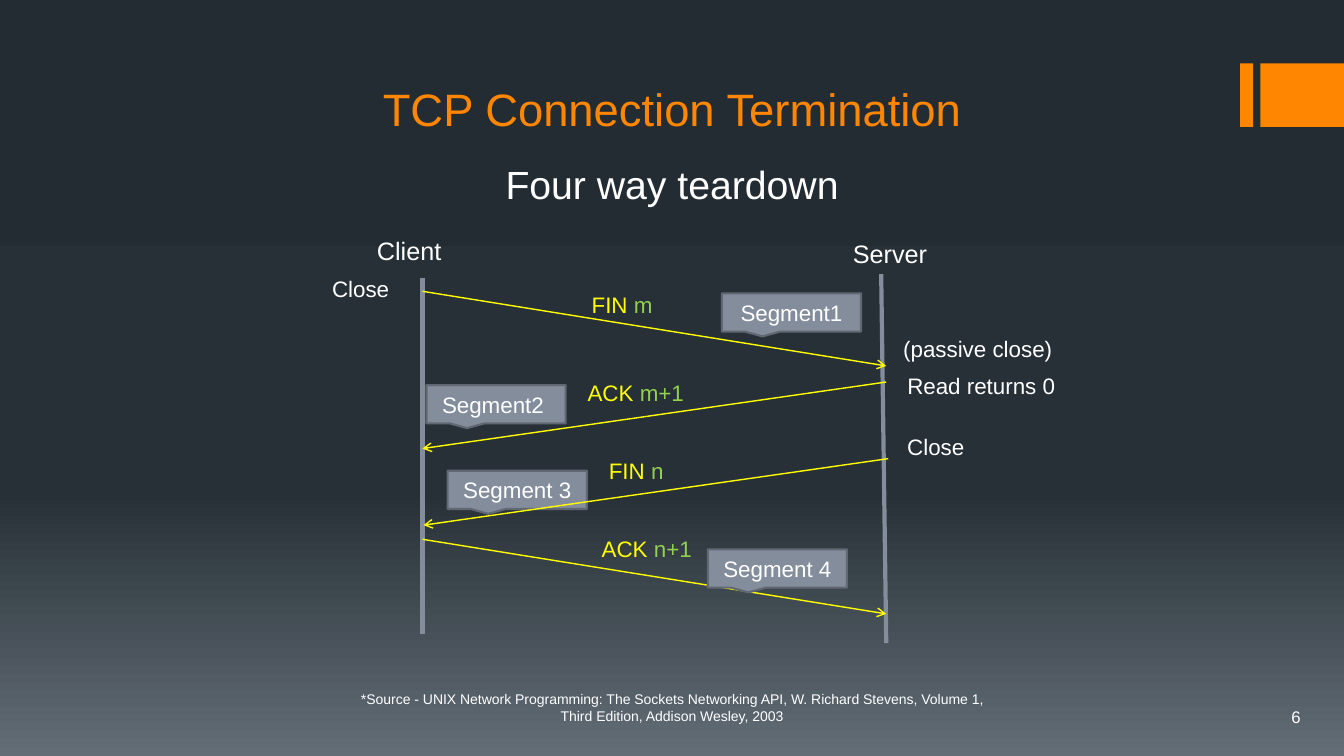
from copy import deepcopy

from lxml import etree
from pptx import Presentation
from pptx.dml.color import RGBColor
from pptx.enum import shapes, text
from pptx.oxml.ns import qn
from pptx.util import Inches, Pt

COLORS = {
    "accent": "FF8600", "white": "FFFFFF", "yellow": "FFFF00", "green": "92D050",
    "slate": "838D9B", "edge": "616873",
}
BACKGROUND = [(0, "242C33"), (0.65, "273037"), (1, "636D76")]
FONT = "Arial"
LEFT, CENTER, RIGHT = text.PP_ALIGN.LEFT, text.PP_ALIGN.CENTER, text.PP_ALIGN.RIGHT

TITLE = "TCP Connection Termination"
ACCENT_BARS = [(12.3, 0.63, 0.13, 0.63), (12.5, 0.63, 0.84, 0.63)]

# text, box (left, top, width, height), size, alignment
CAPTIONS = [
    ("Four way teardown", (4.41, 1.54, 4.51, 0.57), 28, CENTER),
    ("*Source - UNIX Network Programming: The Sockets Networking API, "
     "W. Richard Stevens, Volume 1, Third Edition, Addison Wesley, 2003",
     (3.33, 6.8, 6.67, 0.44), 10, CENTER),
    ("Client", (3.64, 2.29, 1.78, 0.4), 18, LEFT),
    ("Server", (8.36, 2.32, 1.69, 0.4), 18, LEFT),
    ("Close ", (2.69, 2.68, 1.33, 0.37), 16, RIGHT),
    ("(passive close)", (8.86, 3.28, 2.56, 0.37), 16, LEFT),
    ("Read returns 0", (8.9, 3.64, 2.29, 0.37), 16, LEFT),
    ("Close", (8.9, 4.25, 2.06, 0.37), 16, LEFT),
]
PAGE_NUMBER = ("6", (11.63, 6.95, 1.37, 0.33))

LIFELINES = [((4.19, 2.76), (4.19, 6.29)), ((8.74, 2.72), (8.79, 6.38))]

# flag, sequence number, label corner, arrow start, arrow end
MESSAGES = [
    ("FIN ", "m", (5.77, 2.84), (4.19, 2.89), (8.79, 3.63)),
    ("ACK ", "m+1", (5.73, 3.71), (8.79, 3.79), (4.19, 4.45)),
    ("FIN ", "n", (5.94, 4.49), (8.81, 4.55), (4.2, 5.21)),
    ("ACK ", "n+1", (5.87, 5.26), (4.19, 5.35), (8.79, 6.09)),
]
LABEL_SIZE = (1.9, 0.37)

SEGMENTS_BEHIND = [
    ("Segment1", (7.16, 2.91)),
    ("Segment2 ", (4.23, 3.82)),
    ("Segment 3", (4.44, 4.67)),
]
SEGMENTS_IN_FRONT = [("Segment 4", (7.02, 5.45))]
SEGMENT_SIZE = (1.38, 0.38)


def rgb(name):
    return RGBColor.from_string(COLORS[name])


def inches(values):
    return [Inches(v) for v in values]


def write(sp, runs, size=16, align=LEFT, anchor=text.MSO_ANCHOR.TOP, grow=False):
    """Fill a shape with one paragraph of (text, colour name) runs."""
    tf = sp.text_frame
    tf.word_wrap = True
    tf.auto_size = (text.MSO_AUTO_SIZE.SHAPE_TO_FIT_TEXT if grow
                    else text.MSO_AUTO_SIZE.NONE)
    tf.vertical_anchor = anchor
    p = tf.paragraphs[0]
    p.alignment = align
    for content, color in runs:
        r = p.add_run()
        r.text = content
        r.font.name, r.font.size = FONT, Pt(size)
        r.font.color.rgb = rgb(color)


def paint_background(s):
    fill = s.background.fill
    fill.gradient()
    fill.gradient_angle = 270
    stops = s.background._cSld.find(".//" + qn("a:gsLst"))
    stops.append(deepcopy(stops[-1]))
    for stop, (position, color) in zip(fill.gradient_stops, BACKGROUND):
        stop.position = position
        stop.color.rgb = RGBColor.from_string(color)


def add_box(s, kind, box, fill, edge=None):
    sp = s.shapes.add_shape(kind, *inches(box))
    sp.shadow.inherit = False
    sp.fill.solid()
    sp.fill.fore_color.rgb = rgb(fill)
    if edge:
        sp.line.color.rgb = rgb(edge)
        sp.line.width = Pt(1.5)
    else:
        sp.line.fill.background()
    return sp


def add_line(s, start, end, color, width, arrow=False):
    line = s.shapes.add_connector(shapes.MSO_CONNECTOR.STRAIGHT, *inches(start + end))
    line.line.color.rgb = rgb(color)
    line.line.width = Pt(width)
    if arrow:
        ln = line.line._get_or_add_ln()
        etree.SubElement(ln, qn("a:tailEnd"), type="arrow")
    etree.SubElement(line._element.spPr, qn("a:effectLst"))


def add_segments(s, segments):
    for name, corner in segments:
        sp = add_box(s, shapes.MSO_SHAPE.RECTANGULAR_CALLOUT, corner + SEGMENT_SIZE,
                     "slate", "edge")
        write(sp, [(name, "white")], align=CENTER, anchor=text.MSO_ANCHOR.MIDDLE)


def main():
    prs = Presentation()
    prs.slide_width, prs.slide_height = inches((13.33, 7.5))
    s = prs.slides.add_slide(prs.slide_layouts[5])
    paint_background(s)

    for bar in ACCENT_BARS:
        add_box(s, shapes.MSO_SHAPE.RECTANGLE, bar, "accent")

    title = s.shapes.title
    title.left, title.top, title.width, title.height = inches((1.33, 0.71, 10.67, 1.26))
    title.text_frame.margin_bottom = Inches(0.62)
    write(title, [(TITLE, "accent")], size=32.4, align=CENTER,
          anchor=text.MSO_ANCHOR.BOTTOM)

    number, box = PAGE_NUMBER
    write(s.shapes.add_textbox(*inches(box)), [(number, "white")], size=12,
          align=RIGHT, anchor=text.MSO_ANCHOR.MIDDLE)
    for caption, box, size, align in CAPTIONS:
        write(s.shapes.add_textbox(*inches(box)), [(caption, "white")], size=size,
              align=align, grow=True)

    for start, end in LIFELINES:
        add_line(s, start, end, "slate", 3)
    add_segments(s, SEGMENTS_BEHIND)
    for flag, sequence, corner, start, end in MESSAGES:
        add_line(s, start, end, "yellow", 1, arrow=True)
        label = s.shapes.add_textbox(*inches(corner + LABEL_SIZE))
        write(label, [(flag, "yellow"), (sequence, "green")], grow=True)
    add_segments(s, SEGMENTS_IN_FRONT)

    prs.save("out.pptx")


if __name__ == "__main__":
    main()
